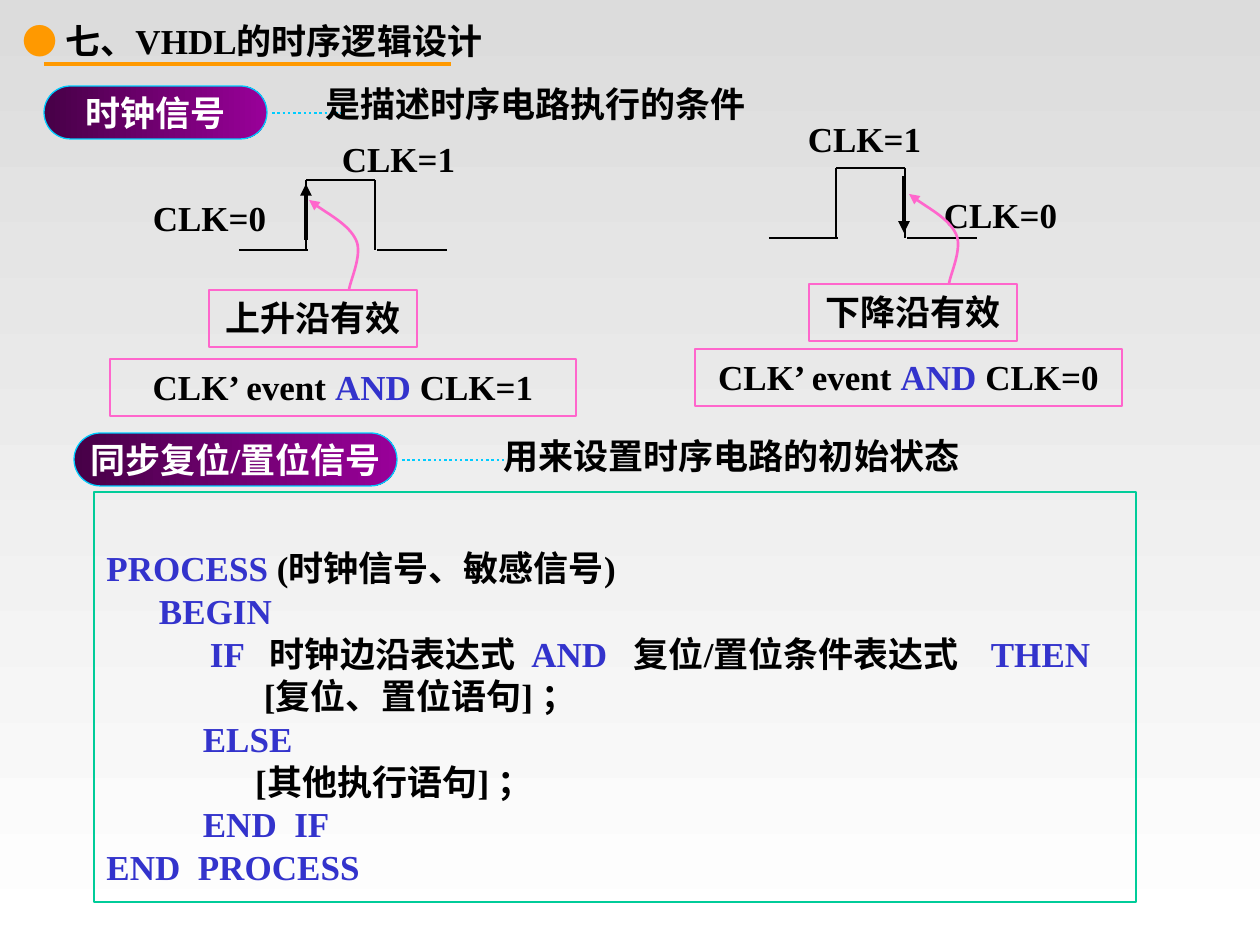
from dataclasses import dataclass

from lxml import etree
from pptx import Presentation
from pptx.dml.color import RGBColor
from pptx.enum.dml import MSO_LINE
from pptx.enum.shapes import MSO_CONNECTOR, MSO_SHAPE
from pptx.enum.text import MSO_ANCHOR, PP_ALIGN
from pptx.oxml.ns import qn
from pptx.util import Pt

STRAIGHT = MSO_CONNECTOR.STRAIGHT
RECTANGLE, ROUNDED = MSO_SHAPE.RECTANGLE, MSO_SHAPE.ROUNDED_RECTANGLE
LEFT, CENTER = PP_ALIGN.LEFT, PP_ALIGN.CENTER
TOP, MIDDLE = MSO_ANCHOR.TOP, MSO_ANCHOR.MIDDLE
DOTTED = MSO_LINE.ROUND_DOT
EMU_PER_PX = 914400 / 126


@dataclass(frozen=True)
class Theme:
    font: str = "Times New Roman"
    size: int = 20
    code_pitch: float = 24.4
    ink: str = "000000"
    white: str = "FFFFFF"
    keyword: str = "3333CC"
    orange: str = "FF9900"
    cyan: str = "00CCFF"
    pink: str = "FF66CC"
    green: str = "00CC99"
    page: tuple = ("DCDCDC", "FFFFFF")
    purple: tuple = ("470047", "990099")


THEME = Theme()


def px(length):
    return round(length * EMU_PER_PX)


def rgb(value):
    return RGBColor.from_string(value)


def set_gradient(fill, colors, angle):
    fill.gradient()
    fill.gradient_angle = angle
    for stop, color in zip(fill.gradient_stops, colors):
        stop.color.rgb = rgb(color)


def style_line(line, color, width, dash=None, arrow=False):
    line.color.rgb = rgb(color)
    line.width = Pt(width)
    if dash:
        line.dash_style = dash
    if arrow:
        etree.SubElement(line._get_or_add_ln(), qn("a:tailEnd"), type="triangle")


def add_line(slide, start, end, color, width, **style):
    connector = slide.shapes.add_connector(STRAIGHT, *map(px, start + end))
    style_line(connector.line, color, width, **style)
    etree.SubElement(connector._element.spPr, qn("a:effectLst"))


def add_runs(paragraph, runs, bold=True):
    for text, color in runs:
        run = paragraph.add_run()
        run.text = text
        run.font.name = THEME.font
        run.font.size = Pt(THEME.size)
        run.font.bold = bold
        run.font.color.rgb = rgb(color)


def prepare_frame(shape, anchor=TOP, wrap=True):
    frame = shape.text_frame
    frame.word_wrap = wrap
    frame.vertical_anchor = anchor
    return frame


def add_label(slide, box, text, align=CENTER):
    frame = prepare_frame(slide.shapes.add_textbox(*map(px, box)))
    frame.paragraphs[0].alignment = align
    add_runs(frame.paragraphs[0], [(text, THEME.ink)])
    return frame


def add_outlined_box(slide, box, color):
    shape = slide.shapes.add_shape(RECTANGLE, *map(px, box))
    shape.shadow.inherit = False
    shape.fill.background()
    style_line(shape.line, color, 1.5)
    return prepare_frame(shape)


def add_framed_text(slide, box, runs):
    paragraph = add_outlined_box(slide, box, THEME.pink).paragraphs[0]
    paragraph.alignment = CENTER
    add_runs(paragraph, runs)


def add_title(slide, x, y):
    frame = prepare_frame(slide.shapes.add_textbox(*map(px, (x, y, 610, 54))))
    add_runs(frame.paragraphs[0], [("● ", THEME.orange)], bold=False)
    add_runs(frame.paragraphs[0], [("七、VHDL的时序逻辑设计", THEME.ink)])
    add_line(slide, (x + 34, y + 51), (x + 441, y + 51), THEME.orange, 2.25)


def add_topic(slide, x, y, width, term, leader_end, meaning, meaning_at):
    """Gradient pill, dotted leader and the explanation beside it."""
    pill = slide.shapes.add_shape(ROUNDED, px(x), px(y), px(width), px(53))
    pill.adjustments[0] = 0.5
    pill.shadow.inherit = False
    set_gradient(pill.fill, THEME.purple, 0)
    style_line(pill.line, THEME.cyan, 0.75)
    frame = prepare_frame(pill, MIDDLE, wrap=False)
    frame.margin_left = frame.margin_right = 0
    frame.margin_top = frame.margin_bottom = 0
    frame.paragraphs[0].alignment = CENTER
    add_runs(frame.paragraphs[0], [(term, THEME.white)])
    leader_y = y + 27
    add_line(slide, (x + width + 5, leader_y), (leader_end, leader_y),
             THEME.cyan, 1.5, dash=DOTTED)
    add_label(slide, (*meaning_at, 507, 54), meaning)


def add_pulse(slide, x, y, arrow):
    low, high, fall = 70, 67, 136
    segments = [((0, low), (69, low)), ((high, 0), (fall, 0)),
                ((138, low), (208, low)),
                ((high, 0), (high, low)), ((fall, 0), (fall, low))]
    for (x1, y1), (x2, y2) in segments:
        add_line(slide, (x + x1, y + y1), (x + x2, y + y2), THEME.ink, 1.5)
    (x1, y1), (x2, y2) = arrow
    add_line(slide, (x + x1, y + y1), (x + x2, y + y2),
             THEME.ink, 2.25, arrow=True)


def add_callout_curve(slide, x, y):
    """Two cubic curves rising from (x, y) to the clock edge."""
    offsets = [(1, -9), (14, -36), (7, -50), (0, -65), (-31, -82), (-40, -90)]
    builder = slide.shapes.build_freeform(px(x), px(y))
    builder.add_line_segments([(px(x + dx), px(y + dy)) for dx, dy in offsets],
                              close=False)
    curve = builder.convert_to_shape()
    curve.shadow.inherit = False
    curve.fill.background()
    style_line(curve.line, THEME.pink, 1.5, arrow=True)
    outline = next(curve._element.iter(qn("a:path")))
    segments = outline.findall(qn("a:lnTo"))
    for first in range(0, len(segments), 3):
        bezier = etree.SubElement(outline, qn("a:cubicBezTo"))
        for segment in segments[first:first + 3]:
            bezier.append(segment[0])
            outline.remove(segment)


def add_clock_edge(slide, pulse_at, arrow, labels, edge_at, edge, condition_box, level):
    add_pulse(slide, *pulse_at, arrow)
    for text, position in labels.items():
        add_label(slide, (*position, 159, 54), text)
    x, y = edge_at
    add_framed_text(slide, (x, y, 208, 57), [(edge, THEME.ink)])
    add_callout_curve(slide, x + 140, y)
    add_framed_text(slide, condition_box, [
        ("CLK’ event ", THEME.ink), ("AND", THEME.keyword), (f" CLK={level}", THEME.ink)])


def add_process_code(slide, x, y, width, height):
    ink, keyword = THEME.ink, THEME.keyword
    code = [
        [("PROCESS ", keyword), ("(时钟信号、敏感信号)", ink)],
        [("      ", ink), ("BEGIN", keyword)],
        [("        ", ink), ("IF   ", keyword), ("时钟边沿表达式  ", ink),
         ("AND   ", keyword), ("复位/置位条件表达式    ", ink), ("THEN", keyword)],
        [("                  [复位、置位语句] ；", ink)],
        [("           ", ink), ("ELSE", keyword)],
        [("                 [其他执行语句] ；", ink)],
        [("           ", ink), ("END  IF", keyword)],
        [("END  PROCESS", keyword)],
    ]
    frame = add_outlined_box(slide, (x, y, width, height), THEME.green)
    frame.margin_top = px(54)
    for index, runs in enumerate(code):
        line = frame.add_paragraph() if index else frame.paragraphs[0]
        line.alignment = CENTER if runs[-1][0] == "THEN" else LEFT
        line.line_spacing = Pt(THEME.code_pitch)
        add_runs(line, runs)


def main():
    deck = Presentation()
    deck.slide_width, deck.slide_height = px(1260), px(945)
    slide = deck.slides.add_slide(deck.slide_layouts[6])
    set_gradient(slide.background.fill, THEME.page, 270)
    add_title(slide, 10, 13)
    add_topic(slide, 44, 86, 223, "时钟信号", 343,
              "是描述时序电路执行的条件", (282, 76))
    add_clock_edge(slide, (239, 180), ((67, 60), (67, 4)),
                   {"CLK=0": (130, 190), "CLK=1": (319, 131)},
                   (209, 290), "上升沿有效", (110, 359, 466, 57), 1)
    add_clock_edge(slide, (769, 168), ((135, 8), (135, 65)),
                   {"CLK=1": (785, 111), "CLK=0": (921, 187)},
                   (809, 284), "下降沿有效", (695, 349, 427, 57), 0)
    add_topic(slide, 74, 433, 323, "同步复位/置位信号", 505,
              "用来设置时序电路的初始状态", (478, 428))
    add_process_code(slide, 94, 492, 1042, 410)
    deck.save("out.pptx")


if __name__ == "__main__":
    main()
